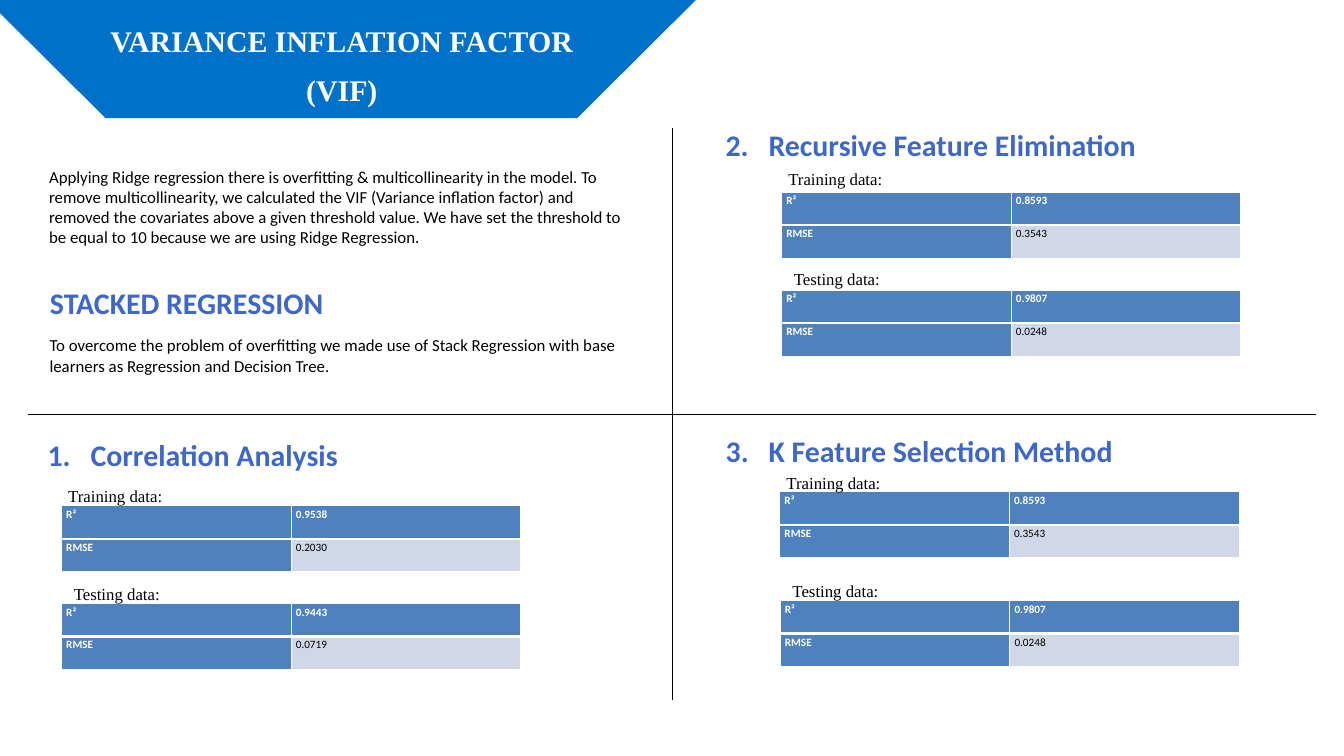
import pptx
import pptx.util
import pptx.dml.color
import pptx.enum.shapes
import pptx.enum.text
import pptx.oxml.ns
import lxml.etree

Pt = pptx.util.Pt
RGB = pptx.dml.color.RGBColor.from_string
qn = pptx.oxml.ns.qn
ALIGN = pptx.enum.text.PP_ALIGN
ANCHOR = pptx.enum.text.MSO_ANCHOR
GROW = pptx.enum.text.MSO_AUTO_SIZE.SHAPE_TO_FIT_TEXT

SPACED = {"line_spacing": 1.15, "space_after": Pt(8)}
THEME = {
    "banner": "0071C9", "rule": "000000", "border": "FFFFFF",
    "head_fill": "4F81BD", "value_fill": "D0D8E8",
    "title": {"font": {"name": "Times New Roman", "size": Pt(32), "bold": True}, "color": "FFFFFF",
              "para": {"alignment": ALIGN.CENTER, **SPACED}},
    "heading": {"font": {"name": "Calibri", "size": Pt(32), "bold": True}, "color": "3E67C8", "para": {}},
    "body": {"font": {"name": "Calibri", "size": Pt(18), "bold": False}, "color": "000000", "para": {}},
    "label": {"font": {"name": "Times New Roman", "size": Pt(18), "bold": False}, "color": "000000", "para": {}},
    "head_cell": {"font": {"name": "Calibri", "size": Pt(12), "bold": True}, "color": "FFFFFF", "para": SPACED},
    "value_cell": {"font": {"name": "Calibri", "size": Pt(12), "bold": False}, "color": "000000", "para": SPACED},
}
FLUSH = dict.fromkeys(["margin_left", "margin_top", "margin_right", "margin_bottom"], 0)
FRAMES = {
    "title": {"word_wrap": True},
    "heading": {"word_wrap": True, **FLUSH},
    "body": {"word_wrap": True},
    "label": {"word_wrap": False, "vertical_anchor": ANCHOR.MIDDLE},
}
CELL = {**FLUSH, "margin_left": Pt(5), "margin_right": Pt(5)}
TAB = 46


def write(tf, lines, style):
    fmt = THEME[style]
    for i, line in enumerate(lines):
        p = tf.add_paragraph() if i else tf.paragraphs[0]
        for key, value in fmt["para"].items():
            setattr(p, key, value)
        if "\t" in line:
            tabs = lxml.etree.SubElement(p._p.get_or_add_pPr(), qn("a:tabLst"))
            lxml.etree.SubElement(tabs, qn("a:tab"), pos=str(Pt(TAB)), algn="l")
        r = p.add_run()
        r.text = line
        for key, value in fmt["font"].items():
            setattr(r.font, key, value)
        r.font.color.rgb = RGB(fmt["color"])


def add_text(box, lines, style):
    tf = s.shapes.add_textbox(*map(Pt, box)).text_frame
    for key, value in FRAMES[style].items():
        setattr(tf, key, value)
    tf.auto_size = GROW
    write(tf, lines, style)


prs = pptx.Presentation()
prs.slide_width, prs.slide_height = Pt(1440), Pt(810)
s = prs.slides.add_slide(prs.slide_layouts[6])

banner = [(618.5, 126.5), (113, 126.5), (-198, -183), (929.5, -183)]
points = [(Pt(x), Pt(y)) for x, y in banner]
builder = s.shapes.build_freeform(*points[0], scale=1.0)
builder.add_line_segments(points[1:], close=True)
sp = builder.convert_to_shape()
sp.shadow.inherit = False
sp.fill.solid()
sp.fill.fore_color.rgb = RGB(THEME["banner"])
sp.line.fill.background()

for ends in [(30, 444, 1410.5, 444), (720, 137, 720, 750)]:
    rule = s.shapes.add_connector(pptx.enum.shapes.MSO_CONNECTOR.STRAIGHT, *map(Pt, ends))
    rule.line.color.rgb = RGB(THEME["rule"])
    rule.line.width = Pt(0.75)
    lxml.etree.SubElement(rule._element.spPr, qn("a:effectLst"))

texts = [
    ((86.5, 15, 559.5, 101), ["VARIANCE INFLATION FACTOR", "(VIF)"], "title"),
    ((45.5, 175, 632, 94.5), ["Applying Ridge regression there is overfitting & multicollinearity in the model. "
                              "To remove multicollinearity, we calculated the VIF (Variance inflation factor) and "
                              "removed the covariates above a given threshold value. We have set the threshold to "
                              "be equal to 10 because we are using Ridge Regression."], "body"),
    ((53.5, 305.5, 384, 39), ["STACKED REGRESSION"], "heading"),
    ((46, 355.5, 626.5, 51), ["To overcome the problem of overfitting we made use of Stack Regression with base "
                              "learners as Regression and Decision Tree."], "body"),
    ((51, 468, 384, 39), ["1.\tCorrelation Analysis"], "heading"),
    ((777.5, 136, 529, 39), ["2.\tRecursive Feature Elimination"], "heading"),
    ((777.5, 463.5, 492, 39), ["3.\tK Feature Selection Method"], "heading"),
]
for box, lines, style in texts:
    add_text(box, lines, style)

results = [
    (66, 542, 517, "Training data:", "0.9538", "0.2030"),
    (66, 646.5, 621.5, "Testing data:", "0.9443", "0.0719"),
    (837.5, 206, 177, "Training data:", "0.8593", "0.3543"),
    (837.5, 311, 284.5, "Testing data:", "0.9807", "0.0248"),
    (835.5, 527, 502.5, "Training data:", "0.8593", "0.3543"),
    (836, 643.5, 618.5, "Testing data:", "0.9807", "0.0248"),
]
for x, y, label_y, label, r2, rmse in results:
    table = s.shapes.add_table(2, 2, Pt(x), Pt(y), Pt(492), Pt(70.5)).table
    for i, row in enumerate([("R²", r2), ("RMSE", rmse)]):
        for j, value in enumerate(row):
            cell = table.cell(i, j)
            for key, margin in CELL.items():
                setattr(cell, key, margin)
            is_value = i == 1 and j == 1
            write(cell.text_frame, [value], "value_cell" if is_value else "head_cell")
            tcPr = cell._tc.get_or_add_tcPr()
            for side in "LRTB":
                heavy = (i, side) in [(0, "B"), (1, "T")]
                ln = lxml.etree.SubElement(tcPr, qn("a:ln" + side), w=str(Pt(3 if heavy else 1)))
                fill = lxml.etree.SubElement(ln, qn("a:solidFill"))
                lxml.etree.SubElement(fill, qn("a:srgbClr"), val=THEME["border"])
            cell.fill.solid()
            cell.fill.fore_color.rgb = RGB(THEME["value_fill" if is_value else "head_fill"])
    offset, width = (0, 116.5) if label.startswith("Training") else (6, 108)
    add_text((x + offset, label_y, width, 29), [label], "label")

prs.save("out.pptx")
